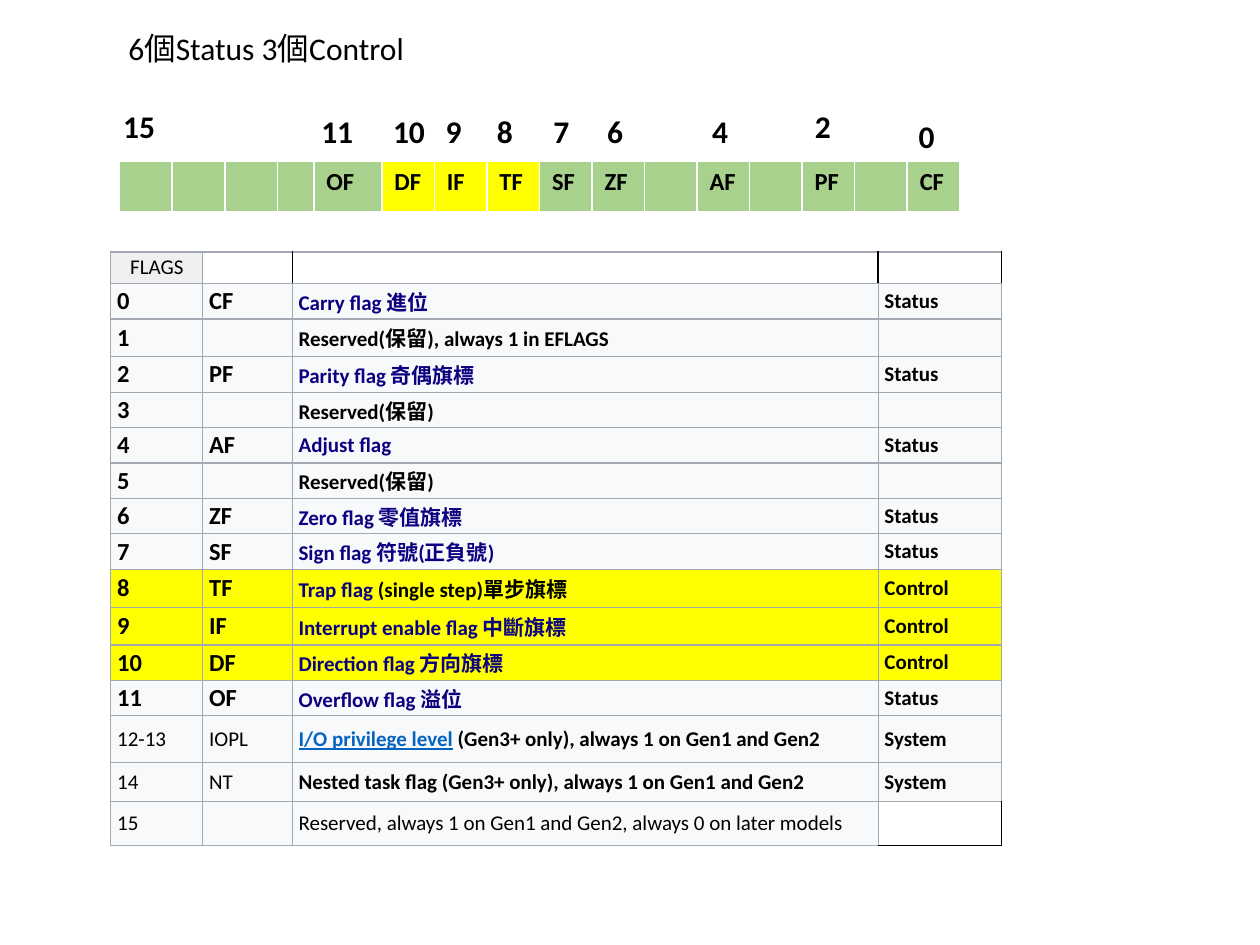
from dataclasses import dataclass
from itertools import accumulate

import pptx
import pptx.dml.color
import pptx.enum.text
import pptx.oxml.ns
import pptx.util
from lxml import etree

Inches = pptx.util.Inches
Pt = pptx.util.Pt
qn = pptx.oxml.ns.qn


@dataclass(frozen=True)
class Theme:
    font: str = "Calibri"
    ink: str = "000000"
    navy: str = "0B0080"
    link: str = "0563C1"
    white: str = "FFFFFF"
    header: str = "EFEFEF"
    pale: str = "F8F9FA"
    yellow: str = "FFFF00"
    green: str = "A9D18E"
    rule: str = "A2A9B1"
    small: int = 12
    medium: int = 14
    large: int = 18


THEME = Theme()


@dataclass(frozen=True)
class Span:
    text: str
    size: int = THEME.small
    bold: bool = True
    color: str = THEME.ink
    underline: bool = False


@dataclass(frozen=True)
class Flag:
    bit: str
    code: str
    lead: str  # coloured start of the description
    rest: str  # black remainder
    role: str
    height: float = 0.28


@dataclass(frozen=True)
class BitLabel:
    bit: int
    nudge: float  # offset from the left edge of its register cell
    top: float = 0.84


FLAGS = [
    Flag("0", "CF", "Carry flag 進位", "", "Status"),
    Flag("1", "", "", "Reserved(保留), always 1 in EFLAGS", "", 0.30),
    Flag("2", "PF", "Parity flag 奇偶旗標", "", "Status"),
    Flag("3", "", "", "Reserved(保留)", ""),
    Flag("4", "AF", "Adjust flag", "", "Status"),
    Flag("5", "", "", "Reserved(保留)", ""),
    Flag("6", "ZF", "Zero flag 零值旗標", "", "Status"),
    Flag("7", "SF", "Sign flag 符號(正負號)", "", "Status"),
    Flag("8", "TF", "Trap flag", " (single step)單步旗標", "Control", 0.30),
    Flag("9", "IF", "Interrupt enable flag 中斷旗標", "", "Control", 0.30),
    Flag("10", "DF", "Direction flag 方向旗標", "", "Control"),
    Flag("11", "OF", "Overflow flag 溢位", "", "Status"),
    Flag("12-13", "IOPL", "I/O privilege level",
         " (Gen3+ only), always 1 on Gen1 and Gen2", "System", 0.37),
    Flag("14", "NT", "", "Nested task flag (Gen3+ only), always 1 on Gen1 and Gen2",
         "System", 0.31),
    Flag("15", "", "", "Reserved, always 1 on Gen1 and Gen2, always 0 on later models",
         "", 0.35),
]
FLAG_COLUMNS = [0.73, 0.71, 4.65, 0.98]
HEADER_HEIGHT = 0.25

REGISTER = ["", "", "", "", "OF", "DF", "IF", "TF", "SF", "ZF", "", "AF", "", "PF", "", "CF"]
REGISTER_LEFT, REGISTER_WIDTH = 0.95, 6.67
ODD_COLUMNS = {3: 0.29, 4: 0.54}
EVEN_COLUMN = (REGISTER_WIDTH - sum(ODD_COLUMNS.values())) / (len(REGISTER) - len(ODD_COLUMNS))
REGISTER_COLUMNS = [ODD_COLUMNS.get(index, EVEN_COLUMN) for index in range(len(REGISTER))]

BIT_LABELS = [
    BitLabel(15, -0.07, 0.80), BitLabel(11, -0.04), BitLabel(10, -0.01), BitLabel(9, -0.01),
    BitLabel(8, -0.02), BitLabel(7, 0.01), BitLabel(6, 0.02), BitLabel(4, 0.02),
    BitLabel(2, 0, 0.80), BitLabel(0, -0.01, 0.88),
]


def rgb(color: str) -> pptx.dml.color.RGBColor:
    return pptx.dml.color.RGBColor.from_string(color)


def write(frame, spans: list[Span]) -> None:
    para = frame.paragraphs[0]
    for span in spans:
        run = para.add_run()
        run.text = span.text
        run.font.name = THEME.font
        run.font.size = Pt(span.size)
        run.font.bold = span.bold
        run.font.underline = span.underline
        run.font.color.rgb = rgb(span.color)
    if not spans:  # keeps an empty cell from stretching its row
        etree.SubElement(para._p, qn("a:endParaRPr"), sz=str(THEME.small * 100))


def set_border(cell, side: str, color: str, width: float) -> None:
    line = etree.SubElement(cell._tc.get_or_add_tcPr(), qn(f"a:ln{side}"), w=str(Pt(width)))
    fill = etree.SubElement(line, qn("a:solidFill"))
    etree.SubElement(fill, qn("a:srgbClr"), val=color)


def style_cell(cell, spans: list[Span], fill: str, borders: dict[str, tuple[str, float]]) -> None:
    write(cell.text_frame, spans)
    for side, (color, width) in borders.items():
        set_border(cell, side, color, width)
    cell.fill.solid()
    cell.fill.fore_color.rgb = rgb(fill)


def add_grid(page, left: float, top: float, columns: list[float], rows: list[float]):
    table = page.shapes.add_table(len(rows), len(columns), Inches(left), Inches(top),
                                  Inches(sum(columns)), Inches(sum(rows))).table
    table.first_row = table.horz_banding = False
    for column, width in zip(table.columns, columns):
        column.width = Inches(width)
    for row, height in zip(table.rows, rows):
        row.height = Inches(height)
    return table


def flag_cells(flag: Flag) -> list[list[Span]]:
    core = flag.bit.isdigit() and int(flag.bit) < 12
    size = THEME.medium if core else THEME.small
    linked = flag.code == "IOPL"
    lead = Span(flag.lead, color=THEME.link if linked else THEME.navy, underline=linked)
    cells = [[Span(flag.bit, size, core)], [Span(flag.code, size, core)],
             [lead, Span(flag.rest, bold=flag.bit != "15")], [Span(flag.role)]]
    return [[span for span in cell if span.text] for cell in cells]


def add_flag_table(page) -> None:
    table = add_grid(page, 0.88, 2, FLAG_COLUMNS,
                     [HEADER_HEIGHT] + [flag.height for flag in FLAGS])
    content = [[[Span("FLAGS", bold=False)], [], [], []]] + [flag_cells(flag) for flag in FLAGS]
    fills = [THEME.yellow if flag.role == "Control" else THEME.pale for flag in FLAGS]
    last = len(FLAGS)
    black = (THEME.ink, 1)
    # Cells whose edges or fill differ from the body
    dark_sides = {(0, 1): "R", (0, 2): "LR", (0, 3): "LR", (last, 3): "RB"}
    for row, spans_in_row in enumerate(content):
        for column, spans in enumerate(spans_in_row):
            cell = table.cell(row, column)
            dark = dark_sides.get((row, column), "")
            borders = {side: black if side in dark else (THEME.rule, 0.75) for side in "LRTB"}
            fill = THEME.white if dark else fills[row - 1] if row else THEME.header
            style_cell(cell, spans, fill, borders)
            cell.margin_left = cell.margin_right = Inches(0.05)
            cell.margin_top = cell.margin_bottom = Inches(0.02)
            cell.vertical_anchor = pptx.enum.text.MSO_ANCHOR.MIDDLE
    table.cell(0, 0).text_frame.paragraphs[0].alignment = pptx.enum.text.PP_ALIGN.CENTER


def add_register(page) -> None:
    table = add_grid(page, REGISTER_LEFT, 1.28, REGISTER_COLUMNS, [0.41])
    edges = {side: (THEME.white, 3 if side == "B" else 1) for side in "LRTB"}
    for column, code in enumerate(REGISTER):
        fill = THEME.yellow if code in ("DF", "IF", "TF") else THEME.green
        style_cell(table.cell(0, column), [Span(code, THEME.medium)] if code else [], fill, edges)


def add_text(page, left: float, top: float, width: float, height: float, span: Span,
             wrap: bool = False) -> None:
    box = page.shapes.add_textbox(Inches(left), Inches(top), Inches(width), Inches(height))
    box.text_frame.word_wrap = wrap
    write(box.text_frame, [span])


def main() -> None:
    deck = pptx.Presentation()
    deck.slide_width, deck.slide_height = Inches(10), Inches(7.5)
    page = deck.slides.add_slide(deck.slide_layouts[6])

    # Flag list and register strip
    add_flag_table(page)
    add_register(page)

    # Bit numbers above the register
    lefts = list(accumulate(REGISTER_COLUMNS, initial=REGISTER_LEFT))
    for label in BIT_LABELS:
        add_text(page, lefts[15 - label.bit] + label.nudge, label.top,
                 0.46 if label.bit > 9 else 0.33, 0.4, Span(str(label.bit), THEME.large))

    # Heading
    add_text(page, 0.92, 0.18, 2.41, 0.71,
             Span("6個Status 3個Control", THEME.large, bold=False), wrap=True)
    deck.save("out.pptx")


if __name__ == "__main__":
    main()
